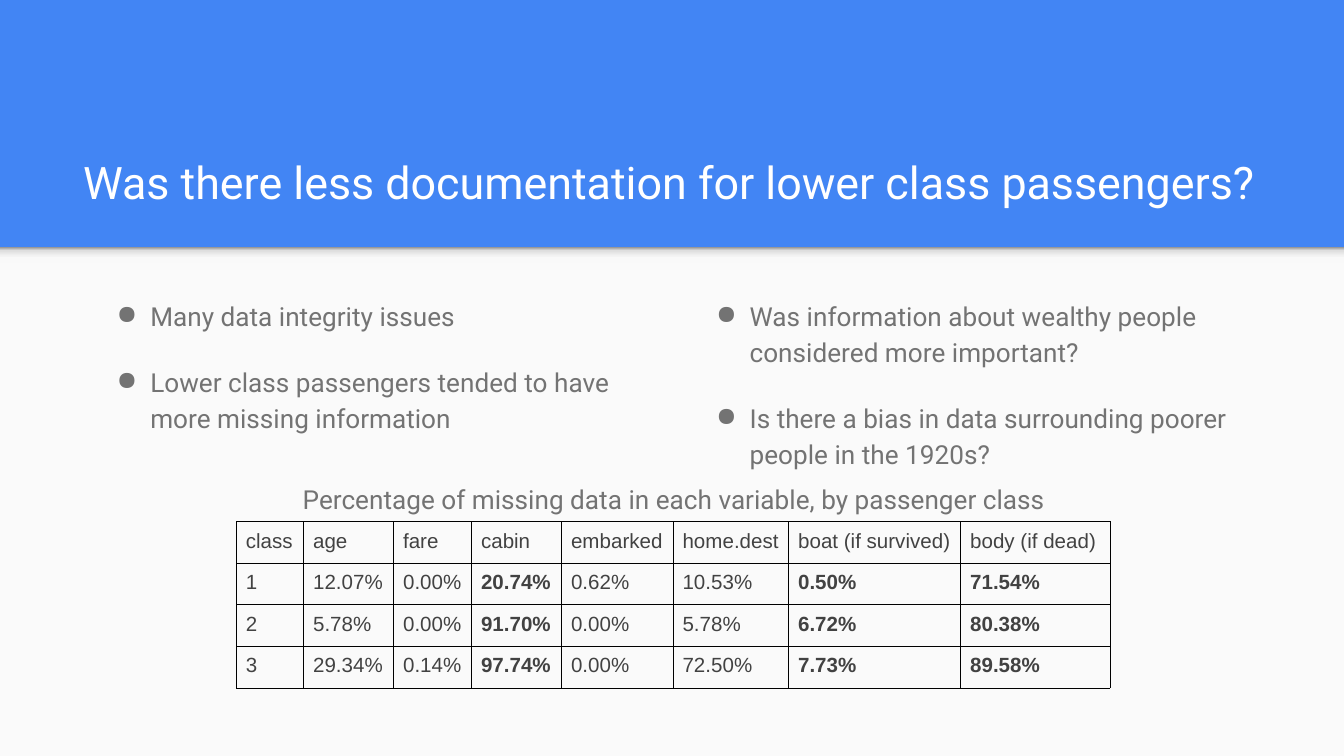
"""Build the slide on missing passenger data by class."""
from dataclasses import dataclass

from lxml.etree import SubElement
from pptx import Presentation
from pptx.dml.color import RGBColor
from pptx.enum.shapes import MSO_SHAPE
from pptx.enum.text import MSO_ANCHOR, PP_ALIGN
from pptx.oxml import parse_xml
from pptx.oxml.ns import nsdecls, qn
from pptx.util import Inches, Pt

COLORS = {"blue": "4285F4", "page": "FAFAFA", "white": "FFFFFF",
          "gray": "737373", "dark": "424242", "border": "000000"}
SHADOW_STOPS = [(0, "F9F9F9"), (36, "F9F9F9"), (80, "DEDEDE"), (100, "999999")]
SLIDE_WIDTH = 10
SLIDE_HEIGHT = SLIDE_WIDTH * 9 / 16
BAND_TOP = 1.84
COL_WIDTHS = [0.5, 0.67, 0.58, 0.67, 0.83, 0.86, 1.28, 1.11]
ROW_HEIGHT = 0.31
BOLD_COLS = {3, 6, 7}
ROWS = [
    ["class", "age", "fare", "cabin", "embarked", "home.dest", "boat (if survived)", "body (if dead)"],
    ["1", "12.07%", "0.00%", "20.74%", "0.62%", "10.53%", "0.50%", "71.54%"],
    ["2", "5.78%", "0.00%", "91.70%", "0.00%", "5.78%", "6.72%", "80.38%"],
    ["3", "29.34%", "0.14%", "97.74%", "0.00%", "72.50%", "7.73%", "89.58%"],
]


@dataclass
class TextBox:
    """Place, lines and format of one text box."""
    left: float
    top: float
    width: float
    height: float
    lines: list[str]
    fmt: dict
    anchor: MSO_ANCHOR = MSO_ANCHOR.TOP


BODY = {"spacing": 1.15, "after": 16}
BULLETS = BODY | {"bullet": True}
BOXES = [
    TextBox(0.52, 0.81, 8.99, 0.84, ["Was there less documentation for lower class passengers?"],
            {"size": 24, "color": "white"}, MSO_ANCHOR.BOTTOM),
    TextBox(0.52, 2.1, 4.47, 1.23, ["Many data integrity issues",
            "Lower class passengers tended to have more missing information"], BULLETS),
    TextBox(4.98, 2.1, 4.47, 1.23, ["Was information about wealthy people considered more important?",
            "Is there a bias in data surrounding poorer people in the 1920s?"], BULLETS),
    TextBox(2.11, 3.46, 5.81, 0.43, ["Percentage of missing data in each variable, by passenger class"],
            BODY | {"align": PP_ALIGN.CENTER}),
]


def rgb(name: str) -> RGBColor:
    """Return a named colour."""
    return RGBColor.from_string(COLORS[name])


def write(p, text: str, *, size: float = 14, font: str = "Roboto", color: str = "gray",
          bold: bool = False, align=PP_ALIGN.LEFT, spacing: float = 1.0,
          after: float = 0, bullet: bool = False) -> None:
    """Write formatted text into a paragraph."""
    p.alignment, p.line_spacing = align, spacing
    p.space_before, p.space_after = Pt(0), Pt(after)
    if bullet:
        pPr = p._p.get_or_add_pPr()
        pPr.set("marL", str(Inches(0.5)))
        pPr.set("indent", str(Inches(-0.25)))
        clr = SubElement(pPr, qn("a:buClr"))
        SubElement(clr, qn("a:srgbClr"), val=COLORS[color])
        SubElement(pPr, qn("a:buChar"), char="●")
    r = p.add_run()
    r.text = text
    r.font.name, r.font.size, r.font.bold = font, Pt(size), bold
    r.font.color.rgb = rgb(color)


def add_box(s, box: TextBox) -> None:
    """Draw a text box."""
    sp = s.shapes.add_textbox(Inches(box.left), Inches(box.top), Inches(box.width), Inches(box.height))
    tf = sp.text_frame
    tf.word_wrap, tf.vertical_anchor = True, box.anchor
    tf.margin_left = tf.margin_right = tf.margin_top = tf.margin_bottom = Inches(0.1)
    for i, line in enumerate(box.lines):
        p = tf.add_paragraph() if i else tf.paragraphs[0]
        write(p, line, **box.fmt)


def add_band(s, height: float):
    """Draw a full-width rectangle below the header."""
    sp = s.shapes.add_shape(MSO_SHAPE.RECTANGLE, 0, Inches(BAND_TOP), Inches(SLIDE_WIDTH), Inches(height))
    sp.shadow.inherit = False
    sp.line.fill.background()
    sp.fill.solid()
    sp.fill.fore_color.rgb = rgb("page")
    return sp


def shade(sp) -> None:
    """Replace a solid fill by the header shadow gradient."""
    stops = "".join(f'<a:gs pos="{pos * 1000}"><a:srgbClr val="{c}"/></a:gs>' for pos, c in SHADOW_STOPS)
    grad = parse_xml(f'<a:gradFill {nsdecls("a")}><a:gsLst>{stops}</a:gsLst>'
                     '<a:lin ang="16200000" scaled="0"/></a:gradFill>')
    spPr = sp._element.spPr
    spPr.replace(spPr.find(qn("a:solidFill")), grad)


def add_borders(cell) -> None:
    """Give a cell thin lines on all sides."""
    tcPr = cell._tc.get_or_add_tcPr()
    for side in ("L", "R", "T", "B"):
        ln = SubElement(tcPr, qn(f"a:ln{side}"), w=str(Pt(0.5)))
        fill = SubElement(ln, qn("a:solidFill"))
        SubElement(fill, qn("a:srgbClr"), val=COLORS["border"])


def add_data_table(s) -> None:
    """Draw the table of missing data."""
    shape = s.shapes.add_table(len(ROWS), len(COL_WIDTHS), Inches(1.76), Inches(3.88),
                               Inches(sum(COL_WIDTHS)), Inches(ROW_HEIGHT * len(ROWS)))
    table = shape.table
    table.first_row = table.horz_banding = False
    for col, width in zip(table.columns, COL_WIDTHS):
        col.width = Inches(width)
    for i, values in enumerate(ROWS):
        table.rows[i].height = Inches(ROW_HEIGHT)
        for j, value in enumerate(values):
            cell = table.cell(i, j)
            cell.margin_left = cell.margin_right = Inches(0.07)
            cell.margin_top = cell.margin_bottom = Inches(0.06)
            add_borders(cell)
            cell.fill.background()
            write(cell.text_frame.paragraphs[0], value, size=11, font="Arial", color="dark",
                  bold=i > 0 and j in BOLD_COLS)


def main() -> None:
    """Build and save the slide."""
    prs = Presentation()
    prs.slide_width, prs.slide_height = Inches(SLIDE_WIDTH), Inches(SLIDE_HEIGHT)
    s = prs.slides.add_slide(prs.slide_layouts[6])
    s.background.fill.solid()
    s.background.fill.fore_color.rgb = rgb("blue")
    add_band(s, SLIDE_HEIGHT - BAND_TOP)
    shade(add_band(s, 0.12))
    for box in BOXES:
        add_box(s, box)
    add_data_table(s)
    prs.save("out.pptx")


if __name__ == "__main__":
    main()
